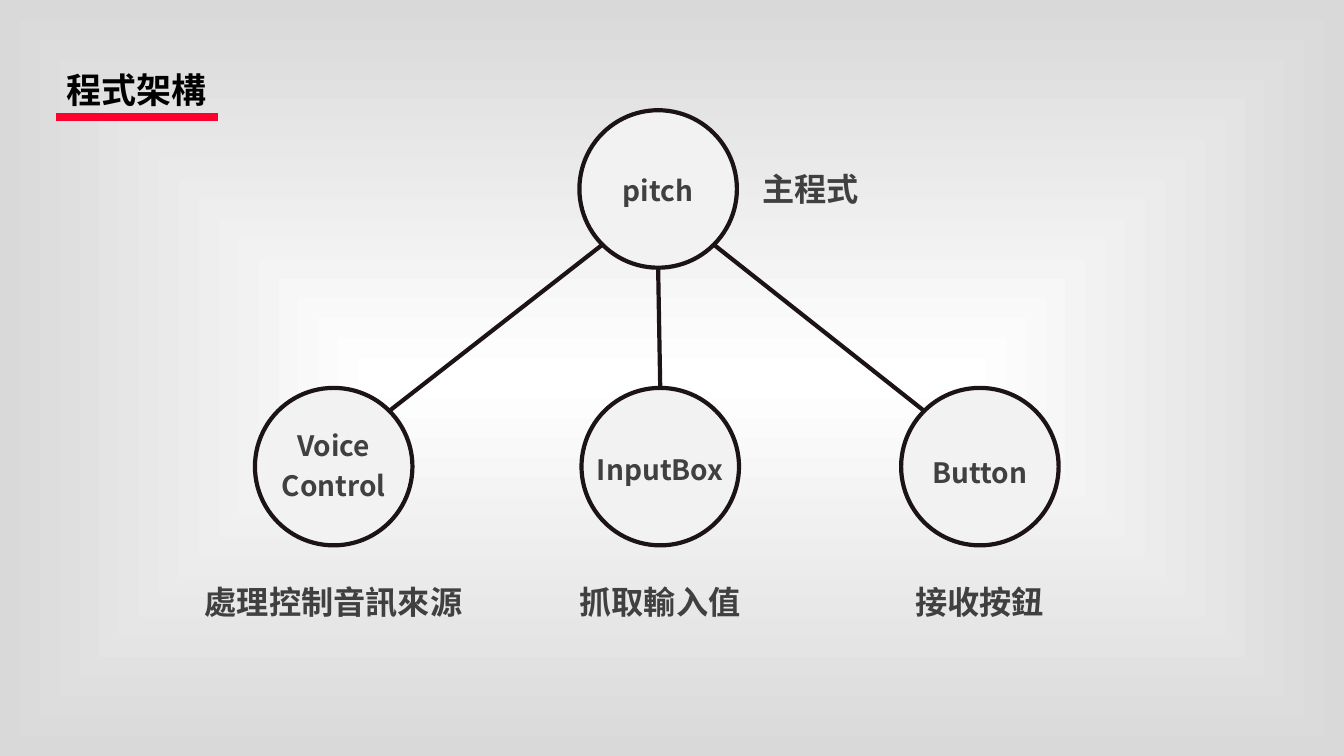
from dataclasses import dataclass
from math import sqrt

from lxml.etree import SubElement
from pptx import Presentation
from pptx.dml.color import RGBColor
from pptx.enum.shapes import MSO_CONNECTOR as Line, MSO_SHAPE as Shape
from pptx.enum.text import MSO_AUTO_SIZE as Auto, PP_ALIGN as Align
from pptx.oxml import parse_xml
from pptx.oxml.ns import nsdecls, qn
from pptx.util import Emu, Inches, Pt

COLS, ROWS = 64, 36


@dataclass(frozen=True)
class Theme:
    font: str = "Noto Sans CJK SC"
    center: str = "FFFFFF"
    edge: str = "D9D9D9"
    title: str = "000000"
    accent: str = "FD002D"
    ink: str = "1C1317"
    disc: str = "F2F2F2"
    text: str = "404040"
    title_size: int = 25
    caption_size: int = 23
    label_size: int = 20
    leading: int = 28
    accent_width: int = 6
    ink_width: int = 3


@dataclass(frozen=True)
class Box:
    x: float
    y: float
    w: float
    h: float

    @classmethod
    def around(cls, cx, cy, w, h):
        return cls(cx - w / 2, cy - h / 2, w, h)

    @property
    def middle(self):
        return self.x + self.w / 2, self.y + self.h / 2

    def emu(self, cell):
        return [Emu(round(v * cell)) for v in (self.x, self.y, self.w, self.h)]


@dataclass(frozen=True)
class Node:
    label: str
    label_size: tuple
    label_dy: float
    caption: str
    caption_size: tuple
    caption_shift: tuple


T = Theme()
DISC = 7.5
BELOW = (0, 6.41)
ROOT = Node("pitch", (5.8, 2.45), 0, "主程式", (5.62, 2.26), (7.28, -0.05))
CHILDREN = [
    (15.89, Node("Voice Control", (6.34, 4.27), -0.16,
                 "處理控制音訊來源", (14.35, 2.35), BELOW)),
    (31.44, Node("InputBox", (8, 2.35), -0.02, "抓取輸入值", (9.5, 2.35), BELOW)),
    (46.66, Node("Button", (5.86, 2.35), 0.12, "接收按鈕", (8, 2.35), BELOW)),
]


def paint_background(slide):
    slide.element.cSld.insert(0, parse_xml(
        f'<p:bg {nsdecls("p", "a")}><p:bgPr><a:gradFill rotWithShape="1"><a:gsLst>'
        f'<a:gs pos="0"><a:srgbClr val="{T.center}"/></a:gs>'
        f'<a:gs pos="100000"><a:srgbClr val="{T.edge}"/></a:gs></a:gsLst>'
        '<a:path path="shape"><a:fillToRect l="50000" t="50000" r="50000" b="50000"/>'
        '</a:path></a:gradFill><a:effectLst/></p:bgPr></p:bg>'))


def add_text(shapes, cell, box, text, size, color=T.text, wrap=True, **paragraph):
    tf = shapes.add_textbox(*box.emu(cell)).text_frame
    tf.word_wrap = wrap
    tf.auto_size = Auto.SHAPE_TO_FIT_TEXT
    p = tf.paragraphs[0]
    for name, value in paragraph.items():
        setattr(p, name, value)
    r = p.add_run()
    r.text = text
    for name, value in {"name": T.font, "size": Pt(size), "bold": True}.items():
        setattr(r.font, name, value)
    r.font.color.rgb = RGBColor.from_string(color)
    SubElement(r.font._element, qn("a:ea"), typeface=T.font)


def style_line(line, color, width):
    line.color.rgb = RGBColor.from_string(color)
    line.width = Pt(width)


def add_line(shapes, cell, start, end, color=T.ink, width=T.ink_width):
    ends = [Emu(round(v * cell)) for v in (*start, *end)]
    c = shapes.add_connector(Line.STRAIGHT, *ends)
    style_line(c.line, color, width)
    SubElement(c._element.spPr, qn("a:effectLst"))


def add_title(shapes, cell, box, text):
    add_text(shapes, cell, box, text, T.title_size, T.title, wrap=False)
    y = box.y + box.h + 0.05
    add_line(shapes, cell, (box.x, y), (box.x + box.w, y), T.accent, T.accent_width)


def add_node(shapes, cell, box, node):
    group = shapes.add_group_shape().shapes
    sp = group.add_shape(Shape.OVAL, *box.emu(cell))
    sp.shadow.inherit = False
    sp.fill.solid()
    sp.fill.fore_color.rgb = RGBColor.from_string(T.disc)
    style_line(sp.line, T.ink, T.ink_width)
    cx, cy = box.middle
    dx, dy = node.caption_shift
    centered = {"alignment": Align.CENTER, "line_spacing": Pt(T.leading)}
    add_text(group, cell, Box.around(cx, cy + node.label_dy, *node.label_size),
             node.label, T.label_size, **centered)
    add_text(group, cell, Box.around(cx + dx, cy + dy, *node.caption_size),
             node.caption, T.caption_size, **centered)


def add_branch(shapes, cell, parent, child):
    (px, py), (cx, cy) = parent.middle, child.middle
    side = 0 if abs(cx - px) < DISC / 2 else (1 if cx > px else -1)
    drop = DISC / 2 / sqrt(2) if side else DISC / 2
    reach = side * drop
    add_line(shapes, cell, (cx - reach, cy - drop), (px + reach, py + drop))


def add_tree(shapes, cell, box):
    top = Box.around(box.x + box.w / 2, box.y + DISC / 2, DISC, DISC)
    bottom = box.y + 16.97
    placed = [(Box.around(cx, bottom, DISC, DISC), node) for cx, node in CHILDREN]
    for child, _ in reversed(placed):
        add_branch(shapes, cell, top, child)
    for disc, node in [(top, ROOT), *placed]:
        add_node(shapes, cell, disc, node)


def main():
    prs = Presentation()
    prs.slide_width, prs.slide_height = Inches(40 / 3), Inches(7.5)
    cell = prs.slide_width / COLS
    slide = prs.slides.add_slide(prs.slide_layouts[6])
    paint_background(slide)
    add_title(slide.shapes, cell, Box(2.69, 3.02, 7.68, 2.5), "程式架構")
    add_tree(slide.shapes, cell, Box(8.69, 5.25, 45.3, ROWS - 10.5))
    prs.save("out.pptx")


if __name__ == "__main__":
    main()
